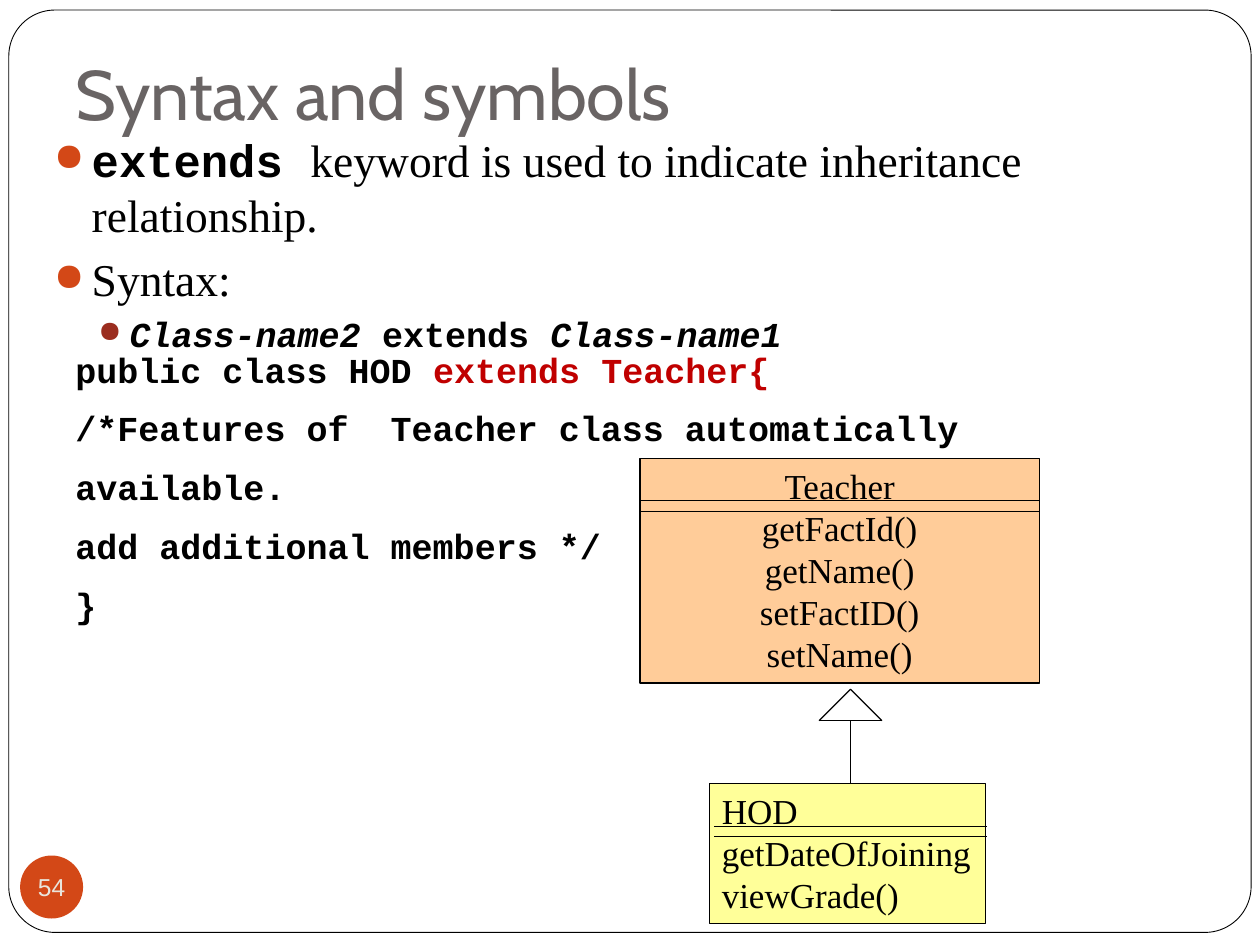
"""Build a slide on the extends keyword with a small inheritance diagram."""
from dataclasses import dataclass
from typing import Any

import pptx
import pptx.dml.color
import pptx.enum.shapes
import pptx.enum.text
import pptx.oxml.ns
import pptx.util
from lxml import etree

Inches = pptx.util.Inches
Pt = pptx.util.Pt
Align = pptx.enum.text.PP_ALIGN
Anchor = pptx.enum.text.MSO_ANCHOR
AutoSize = pptx.enum.text.MSO_AUTO_SIZE
ShapeType = pptx.enum.shapes.MSO_SHAPE
SERIF, MONO = "Times New Roman", "Courier New"


@dataclass
class Bullet:
    """A bulleted paragraph made of formatted runs."""
    runs: list[tuple[str, dict]]
    indent: float
    hanging: float
    space: float
    color: str


@dataclass
class ClassBox:
    """A class in the diagram with its name and members."""
    box: tuple[float, float, float, float]
    lines: list[str]
    fill: str
    align: Any
    wrap: bool
    rules: tuple[float, float]
    rule_span: tuple[float, float]


BULLETS = [
    Bullet([("extends ", dict(size=26, font=MONO, bold=True)),
            ("keyword is used to indicate inheritance relationship.", dict(size=26))],
           0.3, 0.3, 5.8, "D34817"),
    Bullet([("Syntax:", dict(size=26))], 0.3, 0.3, 5.8, "D34817"),
    Bullet([("Class-name2", dict(font=MONO, bold=True, italic=True)),
            (" extends ", dict(font=MONO, bold=True)),
            ("Class-name1", dict(font=MONO, bold=True, italic=True))],
           0.6, 0.25, 3.7, "9B2D1F"),
]
CODE = [
    [("public class HOD", "000000"), (" extends Teacher{", "C00000")],
    [("/*Features of  Teacher class automatically available.", "000000")],
    [("add additional members */", "000000")],
    [("}", "000000")],
]
CLASSES = [
    ClassBox((5.08, 3.64, 3.17, 1.78),
             ["Teacher", "getFactId()", "getName()", "setFactID()", "setName()"],
             "FFCC99", Align.CENTER, True, (3.97, 4.06), (5.08, 8.25)),
    ClassBox((5.63, 6.22, 2.19, 1.11),
             ["HOD", "getDateOfJoining", "viewGrade()"],
             "FFFF99", Align.LEFT, False, (6.56, 6.64), (5.67, 7.83)),
]


def rgb(value: str) -> pptx.dml.color.RGBColor:
    """Turn a hex string into a colour."""
    return pptx.dml.color.RGBColor.from_string(value)


def add_text(paragraph, text: str, *, size: float = 20, font: str = SERIF,
             color: str = "000000", bold: bool = False, italic: bool = False) -> None:
    """Append a formatted run to a paragraph."""
    run = paragraph.add_run()
    run.text = text
    run.font.size = Pt(size)
    run.font.name = font
    run.font.color.rgb = rgb(color)
    run.font.bold = bold
    run.font.italic = italic


def paragraphs(frame, count: int) -> list:
    """Return the given number of paragraphs in an empty text frame."""
    return [frame.paragraphs[0]] + [frame.add_paragraph() for _ in range(count - 1)]


def add_shape(slide, kind, box, fill: str, line: str | None = None, width: float = 0.75):
    """Draw a flat preset shape."""
    shape = slide.shapes.add_shape(kind, *map(Inches, box))
    shape.shadow.inherit = False
    shape.fill.solid()
    shape.fill.fore_color.rgb = rgb(fill)
    if line:
        shape.line.color.rgb = rgb(line)
        shape.line.width = Pt(width)
    else:
        shape.line.fill.background()
    return shape


def add_line(shapes, start: tuple[float, float], end: tuple[float, float]) -> None:
    """Draw a thin black line without a shadow."""
    line = shapes.add_connector(pptx.enum.shapes.MSO_CONNECTOR.STRAIGHT,
                                *map(Inches, start + end))
    line.line.color.rgb = rgb("000000")
    line.line.width = Pt(0.75)
    etree.SubElement(line.element.spPr, pptx.oxml.ns.qn("a:effectLst"))


def add_bullet(paragraph, bullet: Bullet, first: bool) -> None:
    """Fill a paragraph with a bullet and its runs."""
    paragraph.space_before = Pt(0 if first else bullet.space)
    properties = paragraph._p.get_or_add_pPr()
    properties.set("marL", str(Inches(bullet.indent)))
    properties.set("indent", str(-Inches(bullet.hanging)))
    qn = pptx.oxml.ns.qn
    color = etree.SubElement(properties, qn("a:buClr"))
    etree.SubElement(color, qn("a:srgbClr"), val=bullet.color)
    etree.SubElement(properties, qn("a:buSzPct"), val="85000")
    etree.SubElement(properties, qn("a:buChar"), char="●")
    for text, style in bullet.runs:
        add_text(paragraph, text, **style)


def add_class(slide, item: ClassBox) -> None:
    """Draw a class box and the double rule below its name."""
    shape = add_shape(slide, ShapeType.RECTANGLE, item.box, item.fill, "000000")
    frame = shape.text_frame
    frame.word_wrap = item.wrap
    frame.auto_size = AutoSize.SHAPE_TO_FIT_TEXT
    frame.vertical_anchor = Anchor.TOP
    for paragraph, text in zip(paragraphs(frame, len(item.lines)), item.lines):
        paragraph.alignment = item.align
        add_text(paragraph, text)
    left, right = item.rule_span
    for height in item.rules:
        add_line(slide.shapes, (left, height), (right, height))


def add_title(slide, text: str) -> None:
    """Place the title in front of the frame."""
    title = slide.shapes.title
    title.left, title.top, title.width, title.height = map(Inches, (0.5, -0.08, 9, 1.25))
    frame = title.text_frame
    frame.auto_size = AutoSize.NONE
    frame.vertical_anchor = Anchor.BOTTOM
    frame.margin_bottom = Inches(0.1)
    frame.paragraphs[0].alignment = Align.LEFT
    add_text(frame.paragraphs[0], text, size=40, font="Cabin", color="696464")
    title.element.getparent().append(title.element)


def add_page_number(slide, number: str) -> None:
    """Draw the page number in a disc."""
    disc = add_shape(slide, ShapeType.OVAL, (0.16, 6.79, 0.5, 0.5), "D34817")
    frame = disc.text_frame
    frame.margin_left = frame.margin_right = frame.margin_top = frame.margin_bottom = 0
    frame.word_wrap = False
    frame.vertical_anchor = Anchor.MIDDLE
    frame.paragraphs[0].alignment = Align.CENTER
    add_text(frame.paragraphs[0], number, size=14, font="Arial", color="E9E5DC")


def add_inheritance_arrow(slide) -> None:
    """Draw the hollow arrow from the subclass to its parent."""
    tip, left, right = (6.75, 5.47), (6.5, 5.72), (7, 5.72)
    head = slide.shapes.add_group_shape()
    for start, end in ((tip, left), (tip, right), (left, right)):
        add_line(head.shapes, start, end)
    add_line(slide.shapes, (6.75, 5.72), (6.75, 6.22))


def main() -> None:
    """Build and save the presentation."""
    presentation = pptx.Presentation()
    presentation.slide_width, presentation.slide_height = Inches(10), Inches(7.5)
    slide = presentation.slides.add_slide(presentation.slide_layouts[5])
    border = add_shape(slide, ShapeType.ROUNDED_RECTANGLE, (0.07, 0.08, 9.86, 7.32),
                       "FFFFFF", "000000", 0.5)
    border.adjustments[0] = 0.05
    add_title(slide, "Syntax and symbols")
    add_page_number(slide, "54")

    body = slide.shapes.add_textbox(*map(Inches, (0.33, 1, 9.33, 1.5))).text_frame
    body.word_wrap = True
    for index, paragraph in enumerate(paragraphs(body, len(BULLETS))):
        add_bullet(paragraph, BULLETS[index], index == 0)
    for item in CLASSES:
        add_class(slide, item)

    code = slide.shapes.add_textbox(*map(Inches, (0.5, 2.58, 8.67, 2.42))).text_frame
    code.word_wrap = True
    code.auto_size = AutoSize.SHAPE_TO_FIT_TEXT
    for paragraph, runs in zip(paragraphs(code, len(CODE)), CODE):
        paragraph.line_spacing = 1.4
        for text, color in runs:
            add_text(paragraph, text, font=MONO, color=color, bold=True)
    add_inheritance_arrow(slide)
    presentation.save("out.pptx")


if __name__ == "__main__":
    main()
